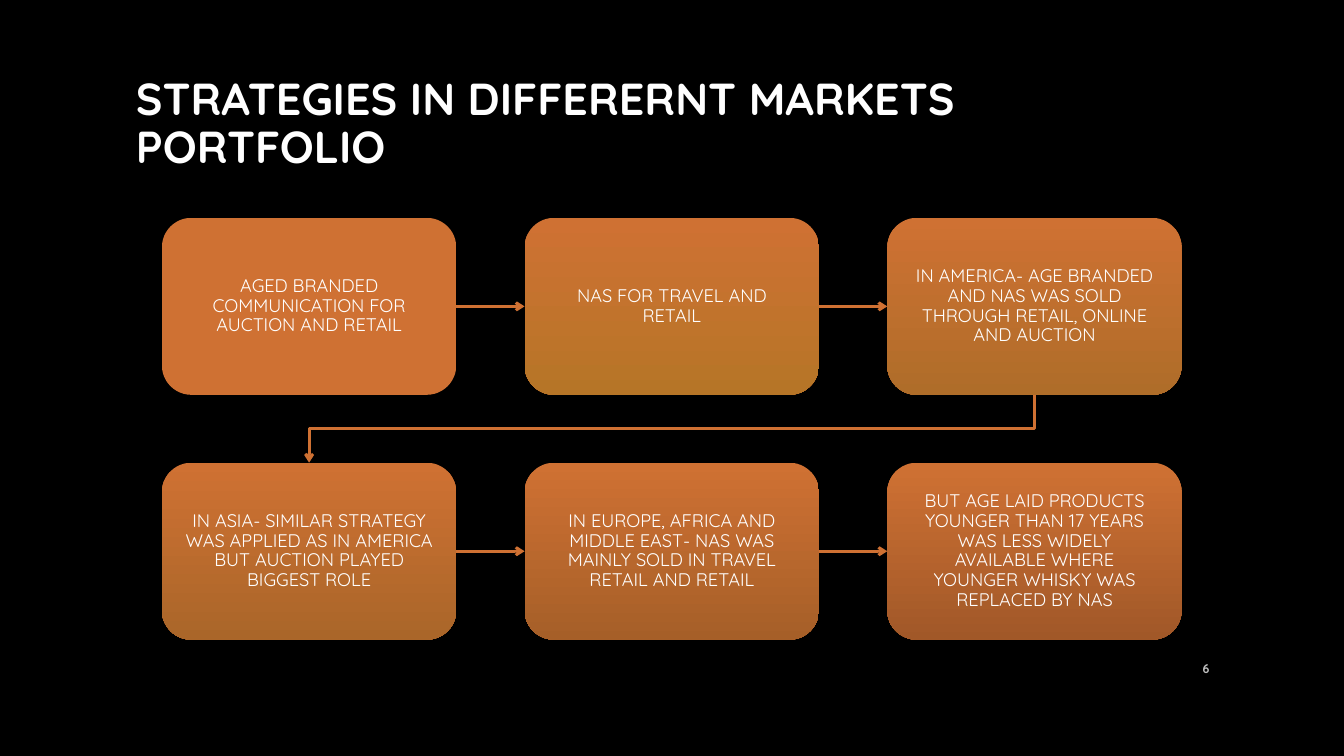
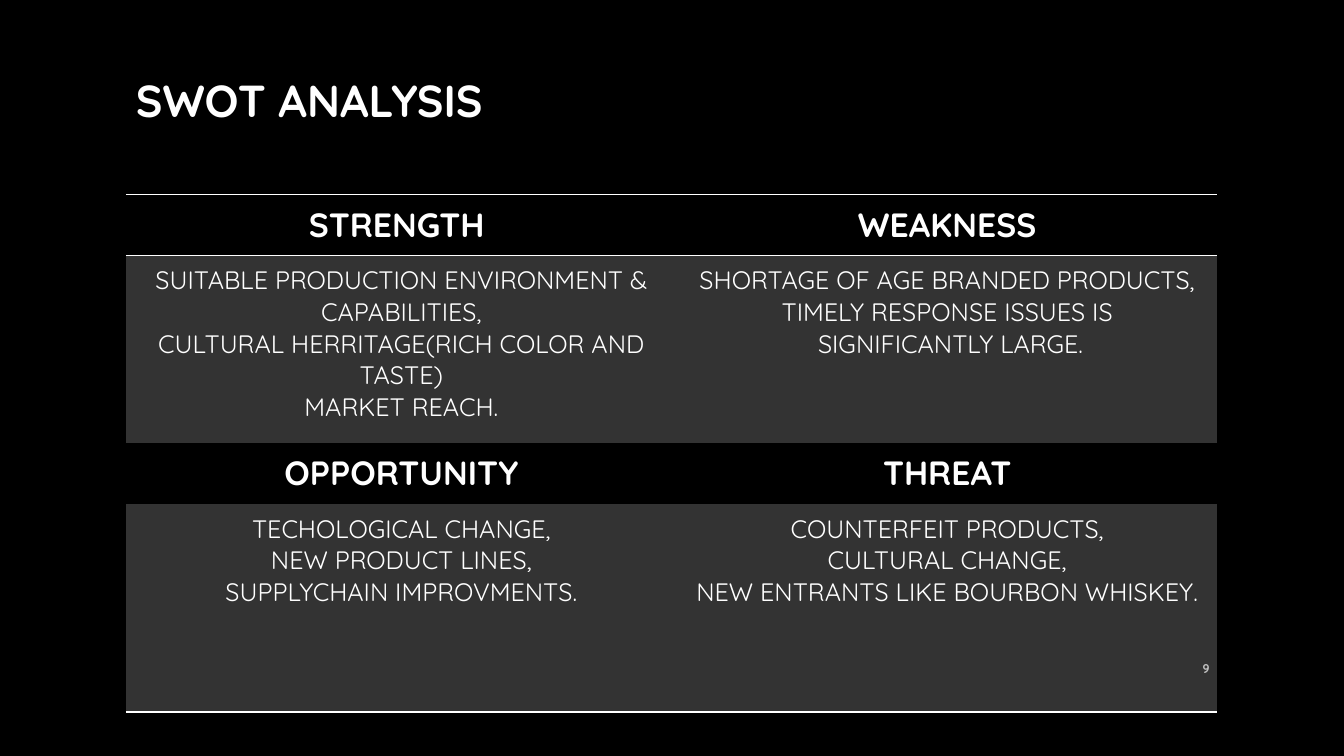
from dataclasses import dataclass
from itertools import pairwise
from typing import Any

from lxml.etree import SubElement as sub
from pptx import Presentation
from pptx.dml.color import RGBColor as Rgb
from pptx.enum.shapes import MSO_CONNECTOR as Link, MSO_SHAPE as Kind
from pptx.enum.text import MSO_ANCHOR as Anchor, MSO_AUTO_SIZE as Fit, PP_ALIGN as Align
from pptx.oxml.ns import qn
from pptx.util import Cm, Pt


@dataclass(frozen=True)
class Theme:
    font: str = "Quicksand"
    back: str = "000000"
    ink: str = "FFFFFF"
    pale: str = "BFBFBF"
    panel: str = "333333"
    accent: str = "CF7133"
    title: float = 32
    head: float = 24
    body: float = 18
    step: float = 13
    page: float = 9


@dataclass(frozen=True)
class Step:
    text: str
    end: str


@dataclass(frozen=True)
class Topic:
    head: str
    body: str


THEME = Theme()
COLS = 3
STEPS = (
    Step("AGED BRANDED COMMUNICATION FOR AUCTION AND RETAIL", "CF7133"),
    Step("NAS FOR TRAVEL AND RETAIL", "B67527"),
    Step("IN AMERICA- AGE BRANDED AND NAS WAS SOLD THROUGH RETAIL, ONLINE AND AUCTION", "AF6D29"),
    Step("IN ASIA- SIMILAR STRATEGY WAS APPLIED AS IN AMERICA BUT AUCTION PLAYED BIGGEST ROLE", "AA6629"),
    Step("IN EUROPE, AFRICA AND MIDDLE EAST- NAS WAS MAINLY SOLD IN TRAVEL RETAIL AND RETAIL", "A65F28"),
    Step("BUT AGE LAID PRODUCTS YOUNGER THAN 17 YEARS WAS LESS WIDELY AVAILABLE WHERE "
         "YOUNGER WHISKY WAS REPLACED BY NAS", "A15828"),
)
TOPICS = (
    (
        Topic("STRENGTH ", "SUITABLE PRODUCTION ENVIRONMENT & CAPABILITIES,\n"
              "CULTURAL HERRITAGE(RICH COLOR AND TASTE)\nMARKET REACH."),
        Topic("WEAKNESS", "SHORTAGE OF AGE BRANDED PRODUCTS,\n"
              "TIMELY RESPONSE ISSUES IS\n SIGNIFICANTLY LARGE."),
    ),
    (
        Topic("OPPORTUNITY", "TECHOLOGICAL CHANGE,\nNEW PRODUCT LINES,\nSUPPLYCHAIN IMPROVMENTS."),
        Topic("THREAT", "COUNTERFEIT PRODUCTS,\nCULTURAL CHANGE,\nNEW ENTRANTS LIKE BOURBON WHISKEY."),
    ),
)


def write(frame: Any, text: str, *, size: float, color: str = THEME.ink, bold: bool = False,
          align: Any = Align.CENTER, space: float = 1.0) -> None:
    frame.text = text
    for para in frame.paragraphs:
        para.alignment = align
        para.line_spacing = space
        for run in para.runs:
            font = run.font
            font.name, font.size, font.bold = THEME.font, Pt(size), bold
            font.color.rgb = Rgb.from_string(color)


def add_page(deck: Any, title: str, number: int, *, height: float, size: float = THEME.title) -> Any:
    slide = deck.slides.add_slide(deck.slide_layouts.get_by_name("Title Only"))
    head = slide.shapes.title
    head.left, head.top, head.width, head.height = Cm(3.17), Cm(1.7), Cm(27.54), Cm(height)
    head.text_frame.auto_size = Fit.NONE
    head.text_frame.vertical_anchor = Anchor.MIDDLE
    write(head.text_frame, title, size=size, bold=True, align=Align.LEFT, space=0.9)
    return slide


def add_number(slide: Any, number: int) -> None:
    frame = slide.shapes.add_textbox(Cm(29.21), Cm(16.33), Cm(1.52), Cm(1.02)).text_frame
    frame.word_wrap = True
    frame.vertical_anchor = Anchor.MIDDLE
    write(frame, str(number), size=THEME.page, color=THEME.pale, bold=True, align=Align.RIGHT)


def add_step(slide: Any, step: Step, index: int) -> Any:
    row, col = divmod(index, COLS)
    box = slide.shapes.add_shape(Kind.FLOWCHART_ALTERNATE_PROCESS, Cm(4.08 + 9.14 * col),
                                 Cm(5.49 + 6.17 * row), Cm(7.42), Cm(4.46))
    box.shadow.inherit = False
    box.line.fill.background()
    box.fill.gradient()
    box.fill.gradient_angle = 270
    for stop, color in zip(box.fill.gradient_stops, (THEME.accent, step.end)):
        stop.color.rgb = Rgb.from_string(color)
    frame = box.text_frame
    frame.word_wrap = True
    frame.vertical_anchor = Anchor.MIDDLE
    frame.margin_left = frame.margin_right = Cm(0.36)
    frame.margin_top = frame.margin_bottom = Cm(0.38)
    write(frame, step.text, size=THEME.step, space=0.9)
    return box


def turn(line: Any, start: Any, end: Any) -> None:
    left, right = end.left + end.width // 2, start.left + start.width // 2
    top, base = start.top + start.height, end.top
    wide, high = right - left, base - top
    line.left, line.top = (left + right - high) // 2, (top + base - wide) // 2
    line.width, line.height = high, wide
    form = line.element.spPr.find(qn("a:xfrm"))
    form.attrib.pop("flipH", None)
    form.set("rot", "5400000")


def join(slide: Any, start: Any, end: Any) -> None:
    level = start.top == end.top
    line = slide.shapes.add_connector(Link.STRAIGHT if level else Link.ELBOW, 0, 0, 0, 0)
    line.begin_connect(start, 3 if level else 2)
    line.end_connect(end, 1 if level else 0)
    if not level:
        turn(line, start, end)
    line.line.color.rgb = Rgb.from_string(THEME.accent)
    line.line.width = Pt(2)
    sub(line.line._get_or_add_ln(), qn("a:tailEnd"), type="arrow")
    sub(line.element.spPr, qn("a:effectLst"))


def edge(props: Any, side: str) -> None:
    rule = sub(props, qn(f"a:ln{side}"), w=str(Pt(1)))
    sub(sub(rule, qn("a:solidFill")), qn("a:srgbClr"), val=THEME.ink)


def add_swot(slide: Any) -> None:
    rows = [[(text, head) for text in texts]
            for pair in TOPICS
            for texts, head in (([t.head for t in pair], True), ([t.body for t in pair], False))]
    wides, highs = (13.89, 13.62), (1.54, 4.72, 1.54, 5.24)
    frame = slide.shapes.add_table(len(highs), len(wides), Cm(3.17), Cm(4.9),
                                   Cm(sum(wides)), Cm(sum(highs)))
    table = frame.table
    table.first_row = table.horz_banding = False
    for style in frame.element.iter(qn("a:tableStyleId")):
        style.text = "{2D5ABB26-0587-4C30-8999-92F81FD0307C}"
    for col, wide in zip(table.columns, wides):
        col.width = Cm(wide)
    for row, high in zip(table.rows, highs):
        row.height = Cm(high)
    nodes = frame.element.iter(qn("a:tc"))
    sides = {0: "TB", len(highs) - 1: "B"}
    for index, row in enumerate(rows):
        for col, (text, head) in enumerate(row):
            cell = table.cell(index, col)
            props = next(nodes).get_or_add_tcPr()
            for side in sides.get(index, ""):
                edge(props, side)
            if head:
                cell.fill.background()
            else:
                cell.fill.solid()
                cell.fill.fore_color.rgb = Rgb.from_string(THEME.panel)
            cell.margin_left = cell.margin_right = Cm(0.46)
            cell.margin_top = cell.margin_bottom = Cm(0.23)
            write(cell.text_frame, text, size=THEME.head if head else THEME.body, bold=head)


def main() -> None:
    deck = Presentation()
    deck.slide_width, deck.slide_height = Cm(33.87), Cm(19.05)
    back = deck.slide_master.background.fill
    back.solid()
    back.fore_color.rgb = Rgb.from_string(THEME.back)

    flow = add_page(deck, "STRATEGIES IN DIFFERERNT MARKETS\vPORTFOLIO", 6, height=2.9)
    boxes = [add_step(flow, step, index) for index, step in enumerate(STEPS)]
    for start, end in pairwise(boxes):
        join(flow, start, end)
    add_number(flow, 6)

    swot = add_page(deck, "SWOT ANALYSIS", 9, height=1.8)
    add_swot(swot)
    add_number(swot, 9)

    deck.save("out.pptx")


if __name__ == "__main__":
    main()
